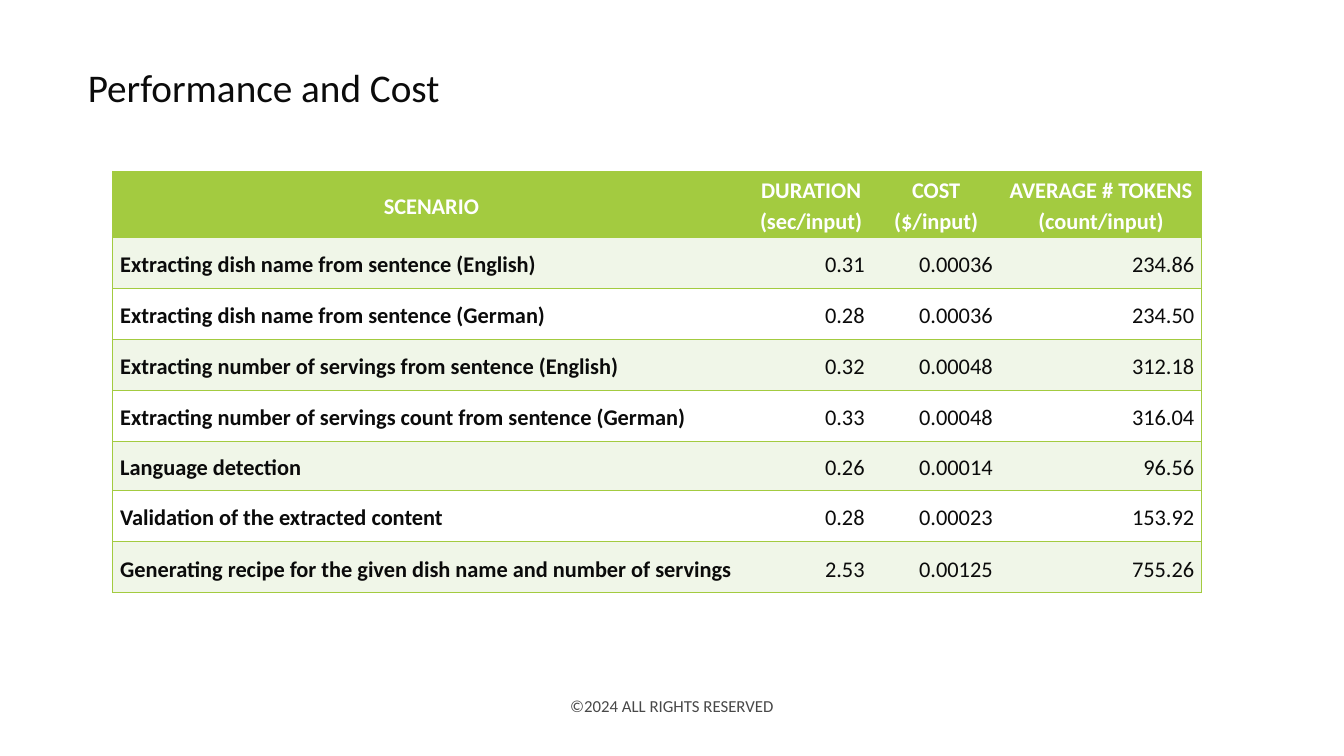
import pptx
import pptx.util
import pptx.dml.color
import pptx.enum.text
import pptx.oxml.ns
import lxml.etree

Pt = pptx.util.Pt
qn = pptx.oxml.ns.qn
ALIGN = pptx.enum.text.PP_ALIGN
MIDDLE = pptx.enum.text.MSO_ANCHOR.MIDDLE
GREEN, PALE, WHITE, INK, GREY = "A3CB40", "F0F6E8", "FFFFFF", "0B0B0B", "484848"


def rgb(value):
    return pptx.dml.color.RGBColor.from_string(value)


def write(p, text, size, color, bold=False, **layout):
    p.text = text
    for name, value in layout.items():
        setattr(p, name, value)
    for r in p.runs:
        for name, value in {"name": "Calibri", "size": Pt(size), "bold": bold}.items():
            setattr(r.font, name, value)
        r.font.color.rgb = rgb(color)
    # A line break carries its own text size
    for br in p._p.findall(qn("a:br")):
        lxml.etree.SubElement(br, qn("a:rPr"), sz=str(size * 100))


prs = pptx.Presentation()
prs.slide_width, prs.slide_height = Pt(960), Pt(540)
s = prs.slides.add_slide(prs.slide_layouts[5])

# Title
title = s.shapes.title
box = {"left": Pt(55.5), "top": Pt(31), "width": Pt(828), "height": Pt(62)}
for name, value in box.items():
    setattr(title, name, value)
title.text_frame.vertical_anchor = MIDDLE
write(title.text_frame.paragraphs[0], "Performance and Cost", 28, INK, alignment=ALIGN.LEFT)

# Table
rows = [
    ("SCENARIO", "DURATION\n(sec/input)", "COST\n($/input)", "AVERAGE # TOKENS\n(count/input)"),
    ("Extracting dish name from sentence (English)", "0.31", "0.00036", "234.86"),
    ("Extracting dish name from sentence (German)", "0.28", "0.00036", "234.50"),
    ("Extracting number of servings from sentence (English)", "0.32", "0.00048", "312.18"),
    ("Extracting number of servings count from sentence (German)", "0.33", "0.00048", "316.04"),
    ("Language detection", "0.26", "0.00014", "96.56"),
    ("Validation of the extracted content", "0.28", "0.00023", "153.92"),
    ("Generating recipe for the given dish name and number of servings", "2.53", "0.00125", "755.26"),
]
widths = [455.3, 87.2, 91.5, 144]
heights = [47.2, 36.5, 36.5, 36.5, 36.5, 35, 36.5, 36.5]
table = s.shapes.add_table(len(rows), len(widths), Pt(80.5), Pt(122.4),
                           Pt(sum(widths)), Pt(sum(heights))).table
for column, width in zip(table.columns, widths):
    column.width = Pt(width)
for row, height in zip(table.rows, heights):
    row.height = Pt(height)

cell_format = {"margin_left": Pt(5.4), "margin_right": Pt(5.4), "margin_top": 0,
               "margin_bottom": 0, "vertical_anchor": MIDDLE}
for i, values in enumerate(rows):
    for j, text in enumerate(values):
        cell = table.cell(i, j)
        for name, value in cell_format.items():
            setattr(cell, name, value)
        header, first = i == 0, j == 0
        align = ALIGN.CENTER if header else ALIGN.LEFT if first else ALIGN.RIGHT
        write(cell.text_frame.paragraphs[0], text, 16, WHITE if header else INK,
              header or first, alignment=align, line_spacing=1.15, space_after=Pt(8))

        # Green rules above and below, and on the outer sides only
        drawn = {"lnL": first, "lnR": j == len(widths) - 1, "lnT": True, "lnB": True}
        for side, shown in drawn.items():
            ln = lxml.etree.SubElement(cell._tc.get_or_add_tcPr(), qn("a:" + side), w=str(Pt(1)))
            line_fill = lxml.etree.SubElement(ln, qn("a:solidFill" if shown else "a:noFill"))
            if shown:
                lxml.etree.SubElement(line_fill, qn("a:srgbClr"), val=GREEN)
        cell.fill.solid()
        cell.fill.fore_color.rgb = rgb(GREEN if header else PALE if i % 2 else WHITE)

# Footer
footer = s.shapes.add_textbox(Pt(318), Pt(490), Pt(324), Pt(28.8))
tf = footer.text_frame
tf.word_wrap = True
tf.vertical_anchor = MIDDLE
write(tf.paragraphs[0], "©2024 ALL RIGHTS RESERVED", 12, GREY, alignment=ALIGN.CENTER)

prs.save("out.pptx")
